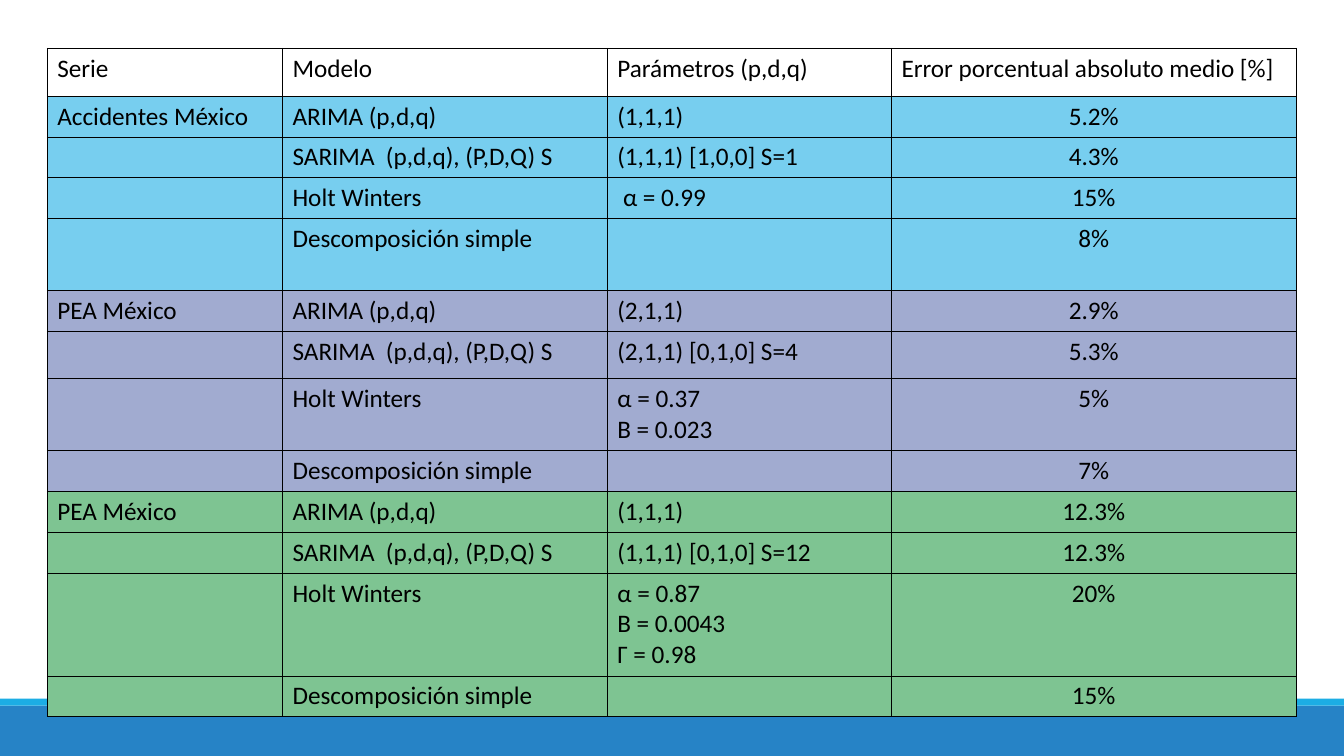
"""Build a slide with a table comparing forecast models by series."""
from lxml.etree import SubElement
from pptx import Presentation
from pptx.dml.color import RGBColor
from pptx.enum.shapes import MSO_SHAPE as Shape
from pptx.enum.text import PP_ALIGN as Align
from pptx.oxml.ns import qn
from pptx.util import Pt


def color(value):
    return RGBColor.from_string(value)


def add_borders(cell):
    properties = cell._tc.get_or_add_tcPr()
    for side in ("lnL", "lnR", "lnT", "lnB"):
        line = SubElement(properties, qn(f"a:{side}"), w=str(Pt(0.5)))
        fill = SubElement(line, qn("a:solidFill"))
        SubElement(fill, qn("a:srgbClr"), val="000000")


deck = Presentation()
deck.slide_width, deck.slide_height = Pt(960), Pt(540)
page = deck.slides.add_slide(deck.slide_layouts[6])

for top, height, fill in ((504, 36, "2683C6"), (499, 5, "1CADE4")):
    band = page.shapes.add_shape(Shape.RECTANGLE, 0, Pt(top), Pt(960), Pt(height))
    band.shadow.inherit = False
    band.fill.solid()
    band.fill.fore_color.rgb = color(fill)
    band.line.fill.background()

headings = ("Serie", "Modelo", "Parámetros (p,d,q)", "Error porcentual absoluto medio [%]")
models = ("ARIMA (p,d,q)", "SARIMA  (p,d,q), (P,D,Q) S", "Holt Winters", "Descomposición simple")
series = (
    ("Accidentes México", "77CEEF",
     ("(1,1,1)", "(1,1,1) [1,0,0] S=1", " α = 0.99", ""),
     ("5.2%", "4.3%", "15%", "8%")),
    ("PEA México", "A1ABD0",
     ("(2,1,1)", "(2,1,1) [0,1,0] S=4", "α = 0.37\nΒ = 0.023", ""),
     ("2.9%", "5.3%", "5%", "7%")),
    ("PEA México", "7EC492",
     ("(1,1,1)", "(1,1,1) [0,1,0] S=12", "α = 0.87\nΒ = 0.0043\nΓ = 0.98", ""),
     ("12.3%", "12.3%", "20%", "15%")),
)
rows = [(headings, None)]
for name, fill, parameters, errors in series:
    names = (name, "", "", "")
    rows += [(texts, fill) for texts in zip(names, models, parameters, errors)]

widths = (168, 232, 203, 289)
heights = (34.2, 29.2, 29.2, 29.2, 51.4, 29.2, 33.6, 51.4, 29.2, 29.2, 29.2, 73.4, 29.2)
frame = page.shapes.add_table(len(rows), len(widths), Pt(33.8), Pt(34.4),
                              Pt(sum(widths)), Pt(sum(heights)))
table = frame.table
table.first_row = table.horz_banding = False
for column, width in zip(table.columns, widths):
    column.width = Pt(width)

for row, height, (texts, fill) in zip(table.rows, heights, rows):
    row.height = Pt(height)
    for index, (cell, text) in enumerate(zip(row.cells, texts)):
        add_borders(cell)
        if fill:
            cell.fill.solid()
            cell.fill.fore_color.rgb = color(fill)
        else:
            cell.fill.background()
        cell.text_frame.text = text
        for para in cell.text_frame.paragraphs:
            if fill and index == 3:
                para.alignment = Align.CENTER
            for span in para.runs:
                span.font.name = "Calibri"
                span.font.size = Pt(18)
                span.font.color.rgb = color("000000")

deck.save("out.pptx")
